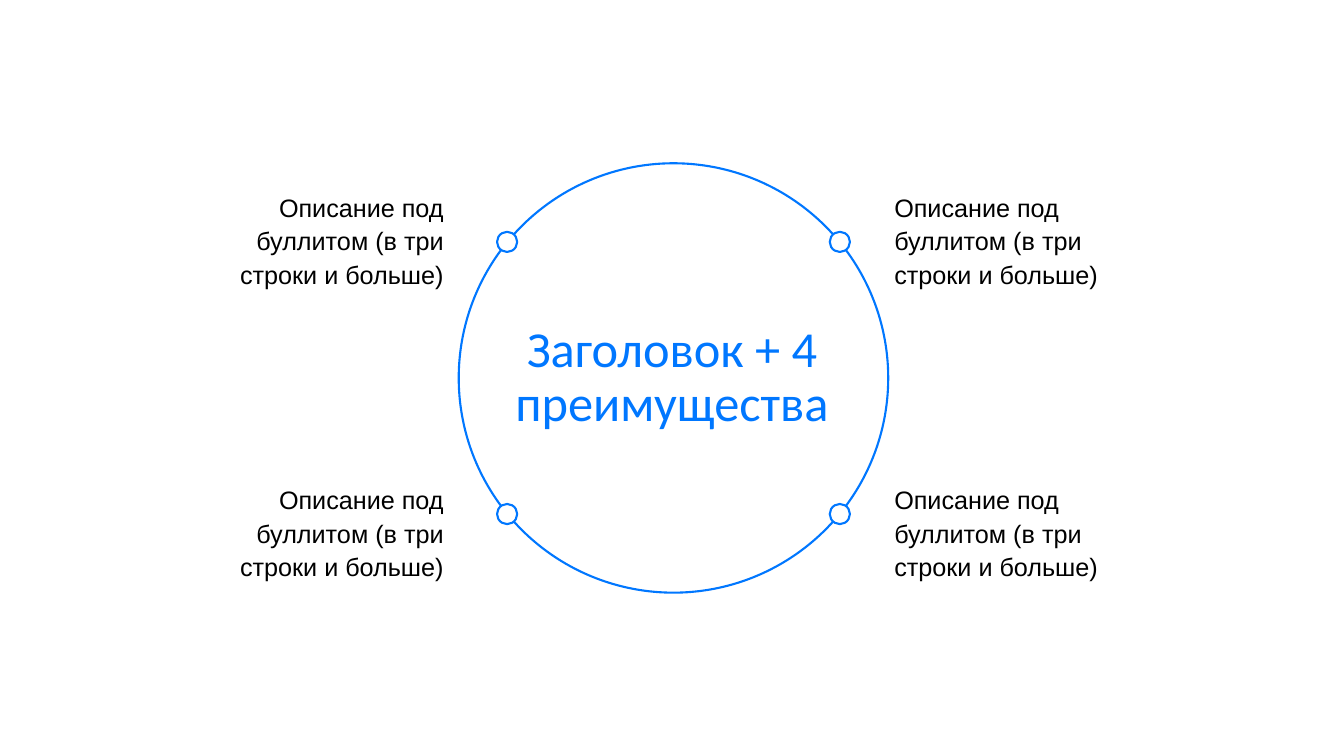
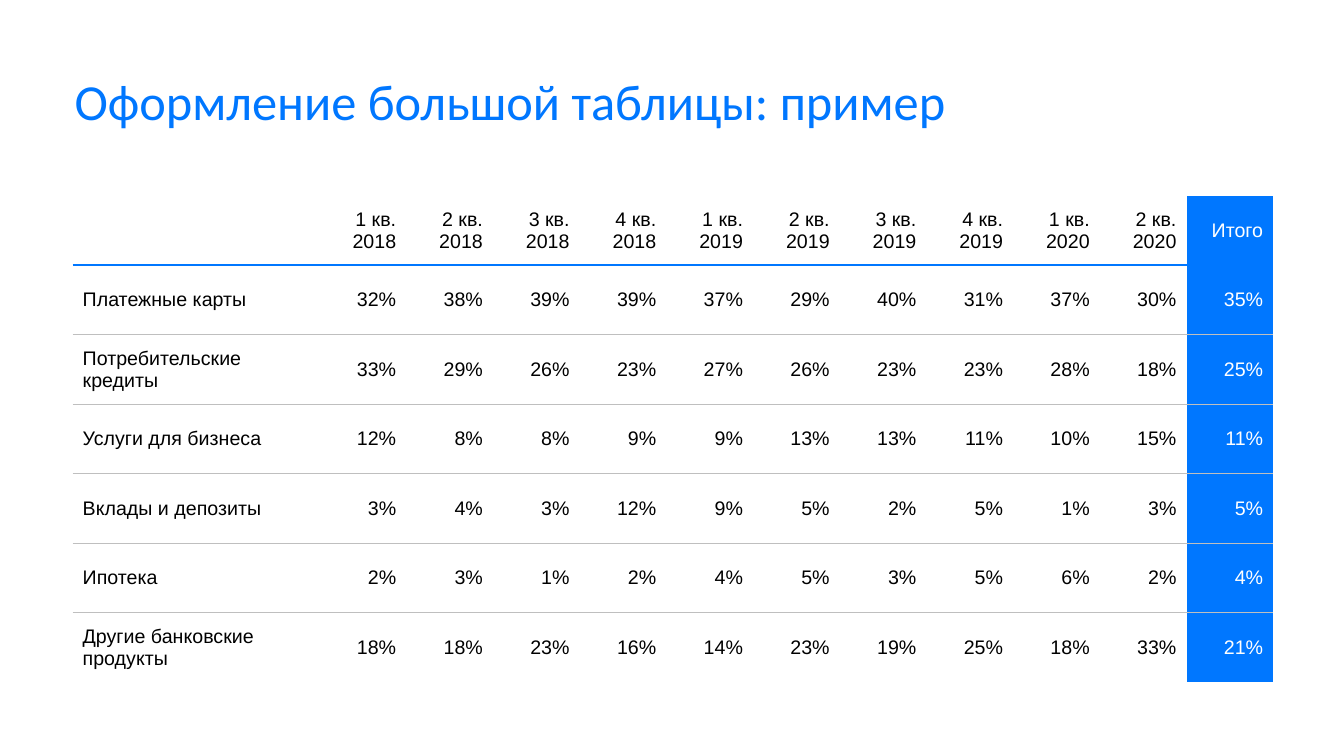
from dataclasses import dataclass
from itertools import product

from lxml.etree import SubElement
from pptx import Presentation
from pptx.dml.color import RGBColor
from pptx.enum.shapes import MSO_SHAPE
from pptx.enum.text import MSO_ANCHOR, PP_ALIGN
from pptx.oxml.ns import qn
from pptx.presentation import Presentation as Deck
from pptx.slide import Slide
from pptx.table import _Cell as Cell
from pptx.text.text import TextFrame
from pptx.util import Inches, Pt


@dataclass(frozen=True)
class TextStyle:
    font: str
    size: float
    color: str
    spacing: float = 1.0


@dataclass(frozen=True)
class Theme:
    blue: str = "0077FF"
    white: str = "FFFFFF"
    grey: str = "BFBFBF"
    outline: float = 1.5
    hairline: float = 0.75
    title: TextStyle = TextStyle("Calibri", 36, "0077FF", 0.9)
    body: TextStyle = TextStyle("Arial", 18, "000000", 1.1)
    cell: TextStyle = TextStyle("Arial", 14, "000000")
    total: TextStyle = TextStyle("Arial", 14, "FFFFFF")


@dataclass(frozen=True)
class Box:
    left: float
    top: float
    width: float
    height: float


@dataclass(frozen=True)
class Circle:
    x: float
    y: float
    radius: float
    fill: str | None = None


@dataclass(frozen=True)
class Border:
    color: str
    width: float


@dataclass(frozen=True)
class ProductRow:
    name: str
    shares: tuple[int, ...]


THEME = Theme()
HEADER_RULE = Border(THEME.blue, THEME.outline)
ROW_RULE = Border(THEME.grey, THEME.hairline)

CENTER_X, CENTER_Y = 6.68, 3.75
DOT_DX, DOT_DY = 1.65, 1.35
ADVANTAGE = "Описание под буллитом (в три строки и больше)"

QUARTERS = [f"{quarter} кв. {year}"
            for year, count in ((2018, 4), (2019, 4), (2020, 2))
            for quarter in range(1, count + 1)]
PRODUCTS = (
    ProductRow("Платежные карты", (32, 38, 39, 39, 37, 29, 40, 31, 37, 30, 35)),
    ProductRow("Потребительские кредиты", (33, 29, 26, 23, 27, 26, 23, 23, 28, 18, 25)),
    ProductRow("Услуги для бизнеса", (12, 8, 8, 9, 9, 13, 13, 11, 10, 15, 11)),
    ProductRow("Вклады и депозиты", (3, 4, 3, 12, 9, 5, 2, 5, 1, 3, 5)),
    ProductRow("Ипотека", (2, 3, 1, 2, 4, 5, 3, 5, 6, 2, 4)),
    ProductRow("Другие банковские продукты", (18, 18, 23, 16, 14, 23, 19, 25, 18, 33, 21)),
)
NAME_WIDTH, QUARTER_WIDTH, ROW_HEIGHT = 2.45, 0.86, 0.69


def add_page(deck: Deck) -> Slide:
    return deck.slides.add_slide(deck.slide_layouts[6])


def write(frame: TextFrame, text: str, style: TextStyle, align: PP_ALIGN) -> None:
    para = frame.paragraphs[0]
    para.alignment = align
    para.line_spacing = style.spacing
    span = para.add_run()
    span.text = text
    span.font.name = style.font
    span.font.size = Pt(style.size)
    span.font.color.rgb = RGBColor.from_string(style.color)


def add_text(page: Slide, box: Box, text: str, style: TextStyle,
             align: PP_ALIGN = PP_ALIGN.LEFT, anchor: MSO_ANCHOR = MSO_ANCHOR.TOP,
             right: float = 0, vertical: float = 0) -> None:
    shape = page.shapes.add_textbox(Inches(box.left), Inches(box.top),
                                    Inches(box.width), Inches(box.height))
    frame = shape.text_frame
    frame.word_wrap = True
    frame.vertical_anchor = anchor
    frame.margin_left, frame.margin_right = Inches(0), Inches(right)
    frame.margin_top = frame.margin_bottom = Inches(vertical)
    write(frame, text, style, align)


def add_circle(page: Slide, circle: Circle) -> None:
    size = Inches(2 * circle.radius)
    shape = page.shapes.add_shape(MSO_SHAPE.OVAL, Inches(circle.x - circle.radius),
                                  Inches(circle.y - circle.radius), size, size)
    shape.shadow.inherit = False
    if circle.fill:
        shape.fill.solid()
        shape.fill.fore_color.rgb = RGBColor.from_string(circle.fill)
    else:
        shape.fill.background()
    shape.line.color.rgb = RGBColor.from_string(THEME.blue)
    shape.line.width = Pt(THEME.outline)


def set_borders(cell: Cell, top: Border | None, bottom: Border | None) -> None:
    properties = cell._tc.get_or_add_tcPr()
    for tag, border in (("a:lnL", None), ("a:lnR", None), ("a:lnT", top), ("a:lnB", bottom)):
        line = SubElement(properties, qn(tag))
        if border is None:
            SubElement(line, qn("a:noFill"))
        else:
            line.set("w", str(Pt(border.width)))
            fill = SubElement(line, qn("a:solidFill"))
            SubElement(fill, qn("a:srgbClr"), val=border.color)


def add_share_table(page: Slide) -> None:
    rows = [["", *QUARTERS, "Итого"]]
    rows += [[row.name, *(f"{share}%" for share in row.shares)] for row in PRODUCTS]
    rules = [None, HEADER_RULE] + [ROW_RULE] * (len(rows) - 2) + [None]
    widths = [NAME_WIDTH] + [QUARTER_WIDTH] * (len(rows[0]) - 1)
    table = page.shapes.add_table(len(rows), len(widths), Inches(0.72), Inches(1.94),
                                  Inches(sum(widths)), Inches(ROW_HEIGHT * len(rows))).table
    table.first_row = table.horz_banding = False
    for column, width in zip(table.columns, widths):
        column.width = Inches(width)
    for row in table.rows:
        row.height = Inches(ROW_HEIGHT)

    for row_index, texts in enumerate(rows):
        for column_index, text in enumerate(texts):
            cell = table.cell(row_index, column_index)
            is_total = column_index == len(widths) - 1
            cell.vertical_anchor = MSO_ANCHOR.MIDDLE
            set_borders(cell, rules[row_index], rules[row_index + 1])
            if is_total:
                cell.fill.solid()
                cell.fill.fore_color.rgb = RGBColor.from_string(THEME.blue)
            else:
                cell.fill.background()
            if text:
                write(cell.text_frame, text, THEME.total if is_total else THEME.cell,
                      PP_ALIGN.RIGHT if column_index else PP_ALIGN.LEFT)


def build_advantages(deck: Deck) -> None:
    page = add_page(deck)
    add_circle(page, Circle(CENTER_X, CENTER_Y, 2.13))
    add_text(page, Box(4.71, 2.87, 3.91, 1.76), "Заголовок + 4 преимущества",
             THEME.title, PP_ALIGN.CENTER, MSO_ANCHOR.MIDDLE)
    for side, level in product((-1, 1), repeat=2):
        add_circle(page, Circle(CENTER_X + side * DOT_DX, CENTER_Y + level * DOT_DY,
                                0.1, THEME.white))
    for (left, align), top in product(((8.87, PP_ALIGN.LEFT), (1.77, PP_ALIGN.RIGHT)),
                                      (1.83, 4.73)):
        add_text(page, Box(left, top, 2.73, 1.16), ADVANTAGE, THEME.body, align,
                 right=0.1, vertical=0.05)


def build_big_table(deck: Deck) -> None:
    page = add_page(deck)
    add_text(page, Box(0.74, 0.76, 11.87, 0.7), "Оформление большой таблицы: пример",
             THEME.title)
    add_share_table(page)


def main() -> None:
    deck = Presentation()
    deck.slide_width, deck.slide_height = Inches(13.33), Inches(7.5)
    build_advantages(deck)
    build_big_table(deck)
    deck.save("out.pptx")


if __name__ == "__main__":
    main()
